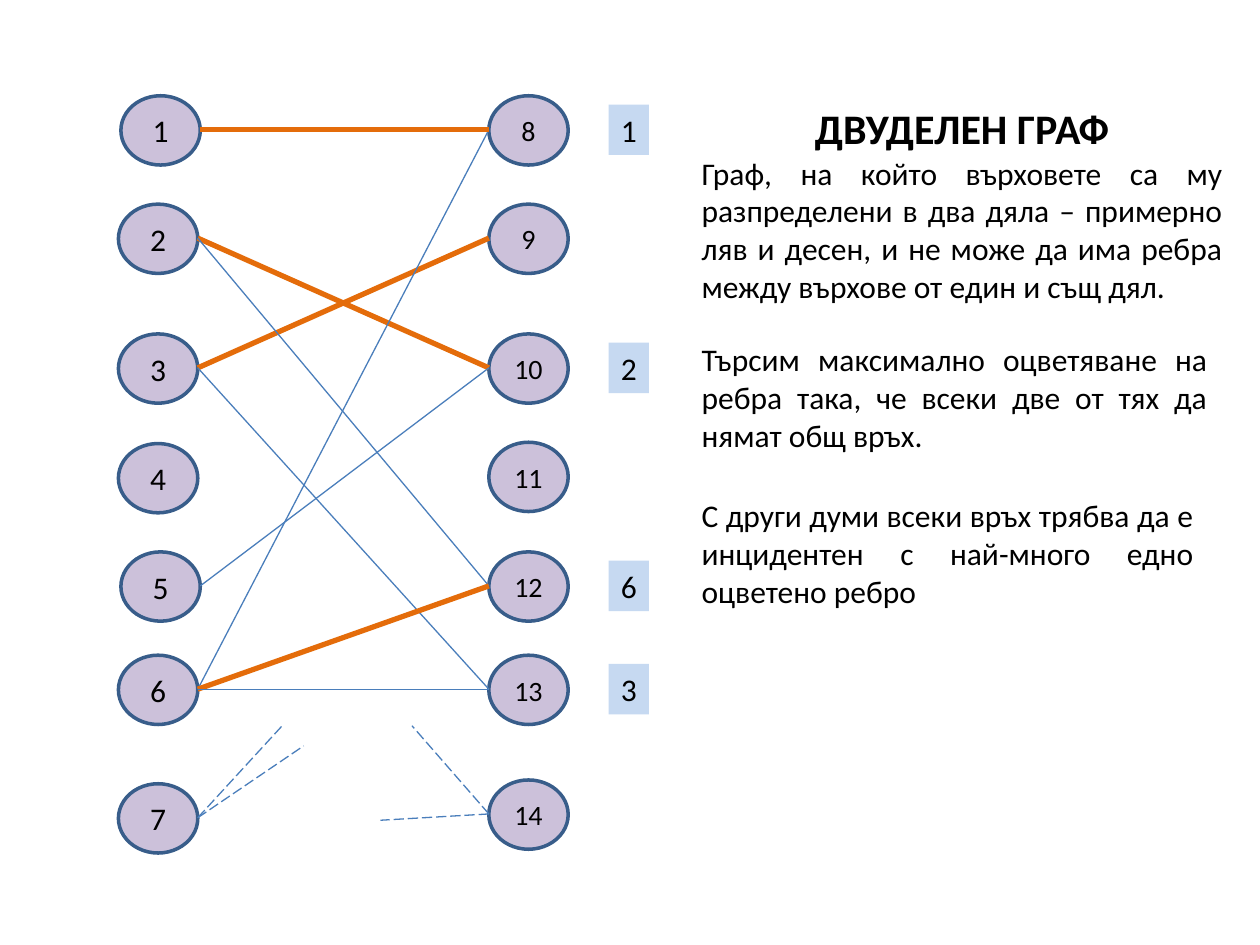
from lxml.etree import SubElement
from pptx import Presentation
from pptx.dml.color import RGBColor
from pptx.enum.dml import MSO_LINE_DASH_STYLE as DASH
from pptx.enum.shapes import MSO_CONNECTOR as CONN, MSO_SHAPE as SHAPE
from pptx.enum.text import MSO_ANCHOR as ANCHOR, MSO_AUTO_SIZE as FIT, PP_ALIGN as ALIGN
from pptx.oxml.ns import qn
from pptx.util import Emu, Pt

SCALE = 9144
NODE_W, NODE_H = 63, 55
MARK_W, MARK_H = 32, 40
COLORS = {
    "node": "CCC1DA", "outline": "385D8A", "edge": "4A7EBB",
    "matched": "E46C0A", "mark": "C6D9F1", "text": "000000",
}
LEFT = {1: (2, 0), 2: (0, 86), 3: (0, 189), 4: (0, 276), 5: (2, 362), 6: (0, 444), 7: (0, 546)}
RIGHT = {8: (294, 0), 9: (294, 86), 10: (294, 189), 11: (294, 275),
         12: (294, 362), 13: (294, 444), 14: (294, 543)}
EDGES = [(2, 10, True), (3, 9, True), (3, 13, False), (5, 10, False), (6, 8, False),
         (2, 12, False), (6, 12, True), (6, 13, False), (1, 8, True)]
STUBS = [(7, 130, 500), (7, 147, 516), (14, 233, 500), (14, 208, 575)]
MATCHES = {8: 1, 10: 2, 12: 6, 13: 3}
TITLE = "ДВУДЕЛЕН ГРАФ"
NOTES = [
    (41, 433, 130, "Граф, на който върховете са му разпределени в два дяла – примерно "
                   "ляв и десен, и не може да има ребра между върхове от един и същ дял."),
    (189, 421, 100, "Търсим максимално оцветяване на ребра така, че всеки две от тях "
                    "да нямат общ връх."),
    (313, 410, 100, "С други думи всеки връх трябва да е инцидентен с най-много едно "
                    "оцветено ребро"),
]


def px(*lengths):
    """Turn px lengths into EMU."""
    return [Emu(n * SCALE) for n in lengths]


def rgb(name):
    """Look up a palette colour."""
    return RGBColor.from_string(COLORS[name])


def write(tf, text, size, align, bold=False):
    """Put one formatted run in the first paragraph of a text frame."""
    p = tf.paragraphs[0]
    p.alignment = align
    r = p.add_run()
    r.text = text
    r.font.name = "Calibri"
    r.font.size = Pt(size)
    r.font.bold = bold
    r.font.color.rgb = rgb("text")


def add_node(s, x, y, number, size):
    """Draw one numbered vertex."""
    sp = s.shapes.add_shape(SHAPE.OVAL, *px(x, y, NODE_W, NODE_H))
    sp.shadow.inherit = False
    sp.fill.solid()
    sp.fill.fore_color.rgb = rgb("node")
    sp.line.color.rgb = rgb("outline")
    sp.line.width = Pt(2)
    sp.text_frame.vertical_anchor = ANCHOR.MIDDLE
    write(sp.text_frame, str(number), size, ALIGN.CENTER)


def add_edge(s, start, end, matched=False, dashed=False):
    """Draw one edge between two points."""
    line = s.shapes.add_connector(CONN.STRAIGHT, *px(*start, *end))
    SubElement(line._element.spPr, qn("a:effectLst"))
    line.line.color.rgb = rgb("matched" if matched else "edge")
    line.line.width = Pt(3 if matched else 0.75)
    if dashed:
        line.line.dash_style = DASH.LONG_DASH


def add_mark(s, x, y, number):
    """Draw the label with the partner of a matched right vertex."""
    sp = s.shapes.add_textbox(*px(x, y, MARK_W, MARK_H))
    sp.fill.solid()
    sp.fill.fore_color.rgb = rgb("mark")
    sp.text_frame.word_wrap = False
    sp.text_frame.auto_size = FIT.SHAPE_TO_FIT_TEXT
    write(sp.text_frame, str(number), 18, ALIGN.LEFT)


def add_graph(s, x, y):
    """Draw the bipartite graph with its matching."""
    ports = {}
    for nodes, size, side in ((LEFT, 18, NODE_W), (RIGHT, 16, 0)):
        for number, (dx, dy) in nodes.items():
            add_node(s, x + dx, y + dy, number, size)
            ports[number] = (x + dx + side, y + dy + NODE_H // 2)
    for a, b, matched in EDGES:
        add_edge(s, ports[a], ports[b], matched)
    for number, dx, dy in STUBS:
        add_edge(s, ports[number], (x + dx, y + dy), dashed=True)
    for number, partner in MATCHES.items():
        dy = RIGHT[number][1] + (NODE_H - MARK_H) // 2
        add_mark(s, x + 389, y + dy, partner)


def add_explanation(s, x, y):
    """Place the title and the notes below it."""
    title = s.shapes.title
    title.left, title.top, title.width, title.height = px(x, y, 433, 46)
    title.text_frame.auto_size = FIT.NONE
    title.text_frame.vertical_anchor = ANCHOR.TOP
    write(title.text_frame, TITLE, 24, ALIGN.CENTER, bold=True)
    for dy, w, h, text in NOTES:
        tf = s.shapes.add_textbox(*px(x, y + dy, w, h)).text_frame
        tf.word_wrap = True
        tf.auto_size = FIT.SHAPE_TO_FIT_TEXT
        write(tf, text, 18, ALIGN.JUSTIFY)


def main():
    """Build and save the slide."""
    prs = Presentation()
    prs.slide_width, prs.slide_height = px(1000, 750)
    s = prs.slides.add_slide(prs.slide_layouts[5])
    add_graph(s, 94, 76)
    add_explanation(s, 547, 76)
    prs.save("out.pptx")


if __name__ == "__main__":
    main()
